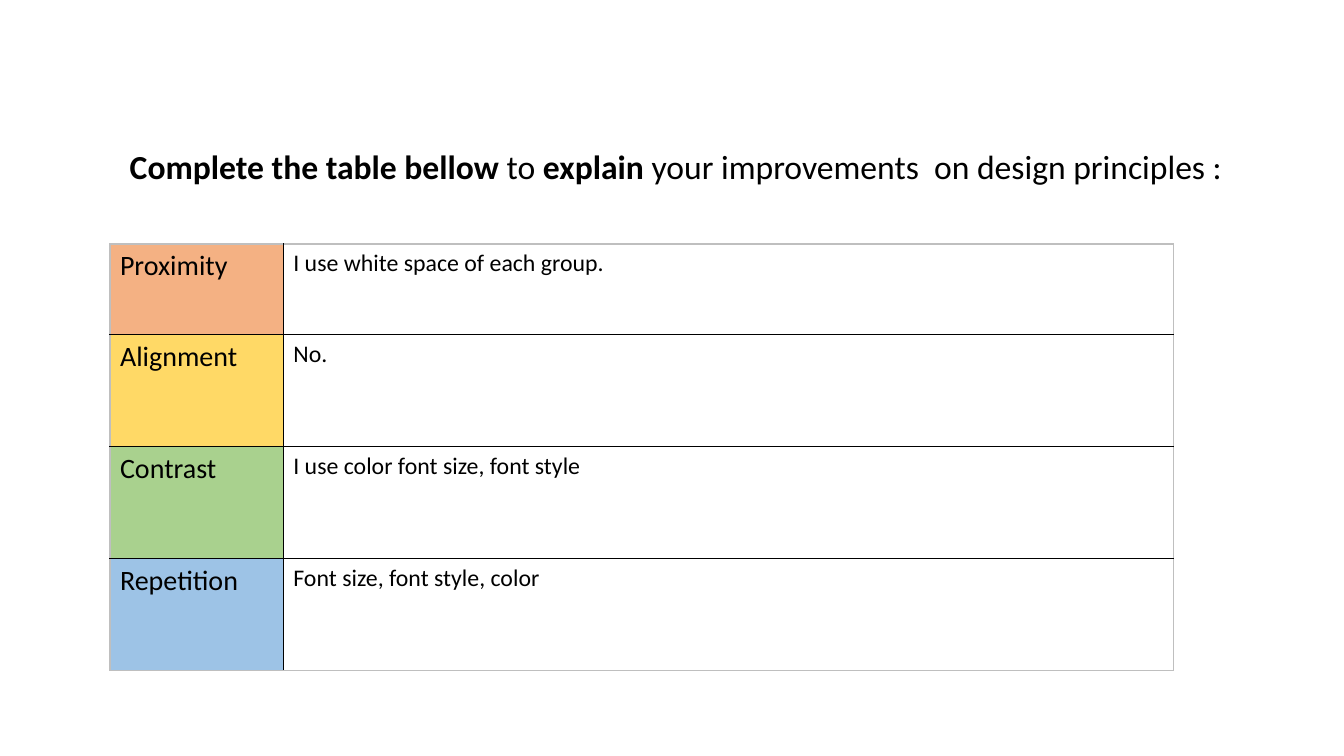
from lxml import etree
from pptx import Presentation
from pptx import util as u
from pptx.dml import color
from pptx.enum import text
from pptx.oxml import ns


def rgb(value):
    return color.RGBColor.from_string(value)


class Deck:
    font = "Calibri"
    ink = "000000"
    edge = "BFBFBF"

    def __init__(self, width, height):
        self.prs = Presentation()
        self.prs.slide_width = u.Inches(width)
        self.prs.slide_height = u.Inches(height)
        self.s = self.prs.slides.add_slide(self.prs.slide_layouts[6])

    def x(self, percent):
        return round(self.prs.slide_width * percent / 100)

    def y(self, percent):
        return round(self.prs.slide_height * percent / 100)

    def style(self, r, size, bold=False):
        r.font.name = self.font
        r.font.size = u.Pt(size)
        r.font.bold = bold
        r.font.color.rgb = rgb(self.ink)

    def heading(self, left, top, width, height, parts, size):
        sp = self.s.shapes.add_textbox(self.x(left), self.y(top), self.x(width), self.y(height))
        tf = sp.text_frame
        tf.word_wrap = True
        p = tf.paragraphs[0]
        p.alignment = text.PP_ALIGN.CENTER
        for words, bold in parts:
            r = p.add_run()
            r.text = words
            self.style(r, size, bold)

    def border(self, cell, side, value):
        pr = cell._tc.get_or_add_tcPr()
        ln = etree.SubElement(pr, ns.qn(f"a:ln{side}"), w=str(u.Pt(1)))
        fill = etree.SubElement(ln, ns.qn("a:solidFill"))
        etree.SubElement(fill, ns.qn("a:srgbClr"), val=value)

    def table(self, left, top, widths, heights, rows, sizes):
        frame = self.s.shapes.add_table(
            len(rows), len(widths), self.x(left), self.y(top),
            self.x(sum(widths)), self.y(sum(heights)))
        tbl = frame.table
        tbl.first_row = tbl.horz_banding = False
        for column, width in zip(tbl.columns, widths):
            column.width = self.x(width)
        for row, height in zip(tbl.rows, heights):
            row.height = self.y(height)
        for i, (fill, *words) in enumerate(rows):
            for j, word in enumerate(words):
                cell = tbl.cell(i, j)
                cell.text_frame.text = word
                self.style(cell.text_frame.paragraphs[0].runs[0], sizes[j])
                outer = {"L": j == 0, "R": j == len(widths) - 1,
                         "T": i == 0, "B": i == len(rows) - 1}
                for side, is_outer in outer.items():
                    self.border(cell, side, self.edge if is_outer else self.ink)
                if j == 0:
                    cell.fill.solid()
                    cell.fill.fore_color.rgb = rgb(fill)
                else:
                    cell.fill.background()


def main():
    deck = Deck(13.33, 7.5)
    deck.table(8.18, 32.27, [12.9, 66.24], [12] + [14.8] * 3, [
        ("F4B183", "Proximity", "I use white space of each group."),
        ("FFD966", "Alignment", "No."),
        ("A9D18E", "Contrast", "I use color font size, font style"),
        ("9DC3E6", "Repetition", "Font size, font style, color"),
    ], [20, 17])
    deck.heading(6.68, 18.67, 86.65, 6.67, [
        (" Complete the table bellow ", True),
        ("to ", False),
        ("explain", True),
        (" your improvements  on design principles :", False),
    ], 24)
    deck.prs.save("out.pptx")


if __name__ == "__main__":
    main()
